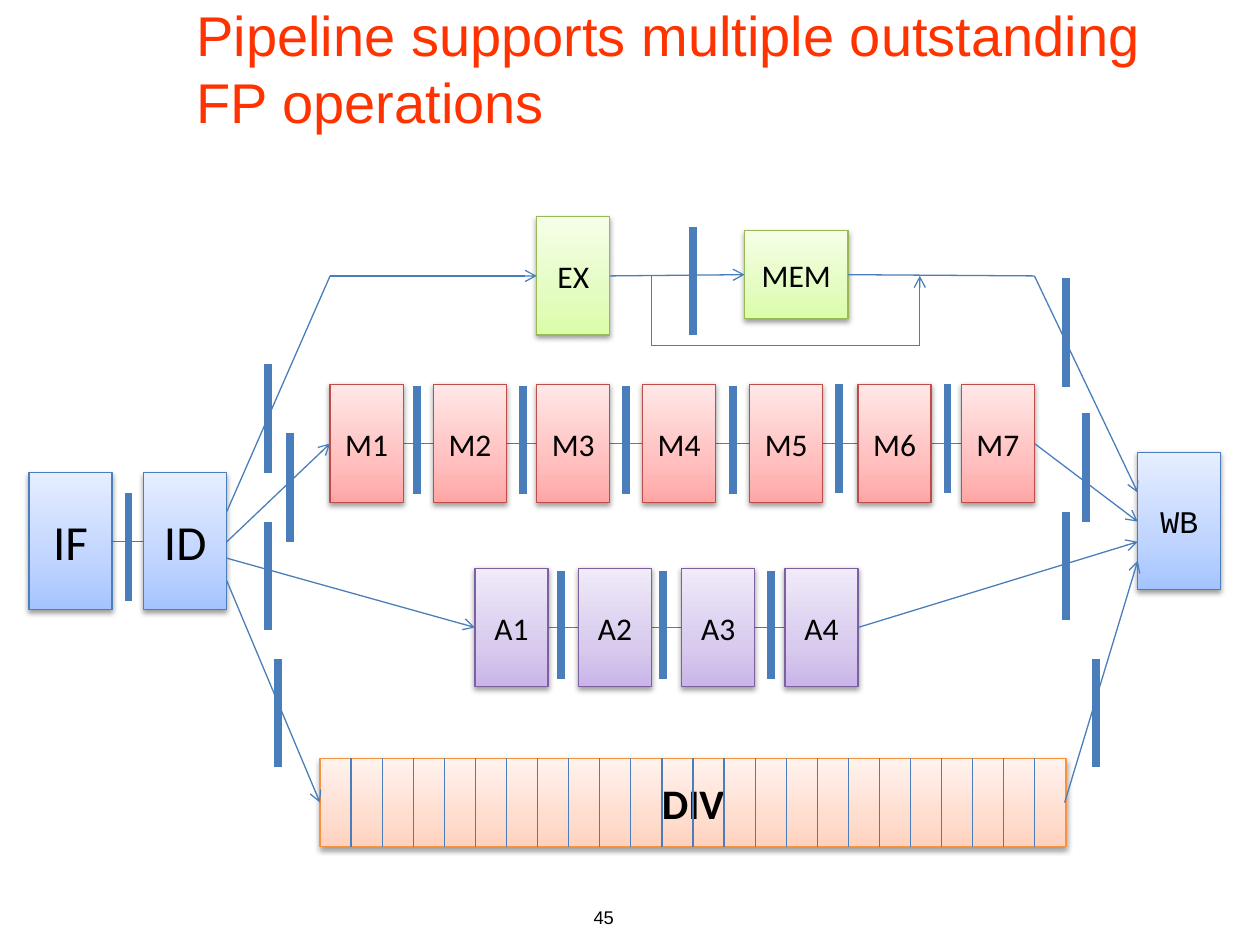
from copy import deepcopy

from lxml import etree
from pptx import Presentation
from pptx.dml.color import RGBColor
from pptx.enum.shapes import MSO_CONNECTOR, MSO_SHAPE
from pptx.enum.text import MSO_ANCHOR, PP_ALIGN
from pptx.oxml import parse_xml
from pptx.oxml.ns import qn
from pptx.util import Inches, Pt

RECTANGLE = MSO_SHAPE.RECTANGLE
STRAIGHT = MSO_CONNECTOR.STRAIGHT
MIDDLE = MSO_ANCHOR.MIDDLE
LEFT, CENTER, RIGHT = PP_ALIGN.LEFT, PP_ALIGN.CENTER, PP_ALIGN.RIGHT

COLORS = {"title": "FF3300", "text": "000000", "wire": "4A7EBB", "background": "FFFFFF"}
STAGE_COLORS = {
    "blue": ("4B7EBC", "A4C4FF", "BFD4FF", "E6EEFF"),
    "red": ("BF4C48", "FFA6A5", "FFC0BF", "FFE7E7"),
    "purple": ("7D60A0", "C9B5E8", "D8CBEE", "F0EAF9"),
    "green": ("98B955", "DAFDA7", "E4FCC2", "F5FFE7"),
    "orange": ("F69240", "FFD2BD", "FFDED0", "FFF2ED"),
}
SHADOW = (
    '<a:outerShdw xmlns:a="http://schemas.openxmlformats.org/drawingml/2006/main" '
    'blurRad="40000" dist="20000" dir="5400000" rotWithShape="0">'
    '<a:srgbClr val="000000"><a:alpha val="38000"/></a:srgbClr></a:outerShdw>'
)

presentation = Presentation()
presentation.slide_width = Inches(10)
presentation.slide_height = Inches(7.5)
slide = presentation.slides.add_slide(presentation.slide_layouts[5])


def add_stage(label, left, top, width, height, color, size=18, font="Calibri"):
    outline, *gradient = STAGE_COLORS[color]
    shape = slide.shapes.add_shape(
        RECTANGLE, Inches(left), Inches(top), Inches(width), Inches(height))
    shape.fill.gradient()
    shape.fill.gradient_angle = 90
    stop_list = shape._element.spPr.find(".//" + qn("a:gsLst"))
    stop_list.insert(1, deepcopy(stop_list[0]))
    for stop, position, stop_color in zip(shape.fill.gradient_stops, (0, 0.35, 1), gradient):
        stop.position = position
        stop.color.rgb = RGBColor.from_string(stop_color)
    shape.line.color.rgb = RGBColor.from_string(outline)
    shape.line.width = Pt(0.75)
    shape.shadow.inherit = False
    shape._element.spPr.find(qn("a:effectLst")).append(parse_xml(SHADOW))
    shape.text_frame.vertical_anchor = MIDDLE
    paragraph = shape.text_frame.paragraphs[0]
    paragraph.text = label
    paragraph.alignment = CENTER
    paragraph.font.name = font
    paragraph.font.size = Pt(size)
    paragraph.font.bold = label == "DIV"
    paragraph.font.color.rgb = RGBColor.from_string(COLORS["text"])


def add_wire(x1, y1, x2, y2, arrow=False, width=0.75):
    connector = slide.shapes.add_connector(
        STRAIGHT, Inches(x1), Inches(y1), Inches(x2), Inches(y2))
    connector.line.color.rgb = RGBColor.from_string(COLORS["wire"])
    connector.line.width = Pt(width)
    properties = connector._element.spPr
    etree.SubElement(properties, qn("a:effectLst"))
    if arrow:
        etree.SubElement(properties.find(qn("a:ln")), qn("a:tailEnd"), type="arrow")


number_box = slide.shapes.add_textbox(Inches(2.89), Inches(7.14), Inches(2.08), Inches(0.5))
number_box.text_frame.word_wrap = True
paragraph = number_box.text_frame.paragraphs[0]
paragraph.text = "45"
paragraph.alignment = RIGHT
paragraph.font.name = "Arial"
paragraph.font.size = Pt(10.5)
paragraph.font.color.rgb = RGBColor.from_string(COLORS["text"])

title = slide.shapes.title
title.left, title.top, title.width, title.height = (
    Inches(1.46), Inches(0), Inches(8.27), Inches(1.07))
title.fill.solid()
title.fill.fore_color.rgb = RGBColor.from_string(COLORS["background"])
title.text_frame.vertical_anchor = MIDDLE
paragraph = title.text_frame.paragraphs[0]
paragraph.text = "Pipeline supports multiple outstanding FP operations"
paragraph.alignment = LEFT
paragraph.font.name = "Arial"
paragraph.font.size = Pt(32)
paragraph.font.color.rgb = RGBColor.from_string(COLORS["title"])

for x1, x2, y in ((0.23, 1.8, 4.3), (3.77, 6.81, 4.98), (3.19, 7.63, 3.52)):
    add_wire(x1, y, x2, y)

add_stage("IF", 0.23, 3.75, 0.66, 1.09, "blue", 28)
add_stage("ID", 1.14, 3.75, 0.66, 1.09, "blue", 28)
for number, left in enumerate((2.62, 3.44, 4.26, 5.1, 5.95, 6.81, 7.63), 1):
    add_stage(f"M{number}", left, 3.05, 0.58, 0.94, "red")
for number in range(1, 5):
    add_stage(f"A{number}", 2.95 + 0.82 * number, 4.51, 0.58, 0.94, "purple")
add_stage("WB", 9.03, 3.59, 0.66, 1.09, "blue", font="Courier New")
add_stage("EX", 4.26, 1.72, 0.58, 0.94, "green")
add_stage("MEM", 5.91, 1.83, 0.82, 0.7, "green")
add_stage("DIV", 2.54, 6.02, 5.92, 0.7, "orange", 24)

div_steps = 24
for step in range(1, div_steps):
    x = 2.54 + 5.92 * step / div_steps
    add_wire(x, 6.02, x, 6.72)

plain_wires = (
    (1.8, 4.06, 2.62, 2.19),
    (6.73, 2.18, 8.21, 2.19),
    (5.17, 2.19, 5.17, 2.74),
    (5.17, 2.74, 7.3, 2.74),
)
arrows = (
    (2.62, 2.19, 4.26, 2.19),
    (4.84, 2.19, 5.91, 2.18),
    (8.21, 2.19, 9.03, 3.91),
    (1.8, 4.3, 2.62, 3.52),
    (8.21, 3.52, 9.03, 4.14),
    (1.8, 4.43, 3.77, 4.98),
    (7.3, 2.74, 7.3, 2.19),
    (6.81, 4.98, 9.03, 4.3),
    (1.8, 4.61, 2.54, 6.37),
    (8.45, 6.37, 9.03, 4.45),
)
for wire in plain_wires:
    add_wire(*wire)
for wire in arrows:
    add_wire(*wire, arrow=True)

latch_height = 0.86
latches = (
    (1.02, 3.91), (2.13, 2.89), (2.3, 3.44), (2.13, 4.14), (2.21, 5.23),
    (3.31, 3.06), (4.15, 3.06), (4.97, 3.06), (5.82, 3.06), (6.66, 3.05), (7.52, 3.05),
    (5.5, 1.8), (4.45, 4.53), (5.26, 4.53), (6.12, 4.53),
    (8.46, 2.21), (8.62, 3.28), (8.46, 4.06), (8.7, 5.23),
)
for x, top in latches:
    add_wire(x, top, x, top + latch_height, width=4.5)

presentation.save("out.pptx")
